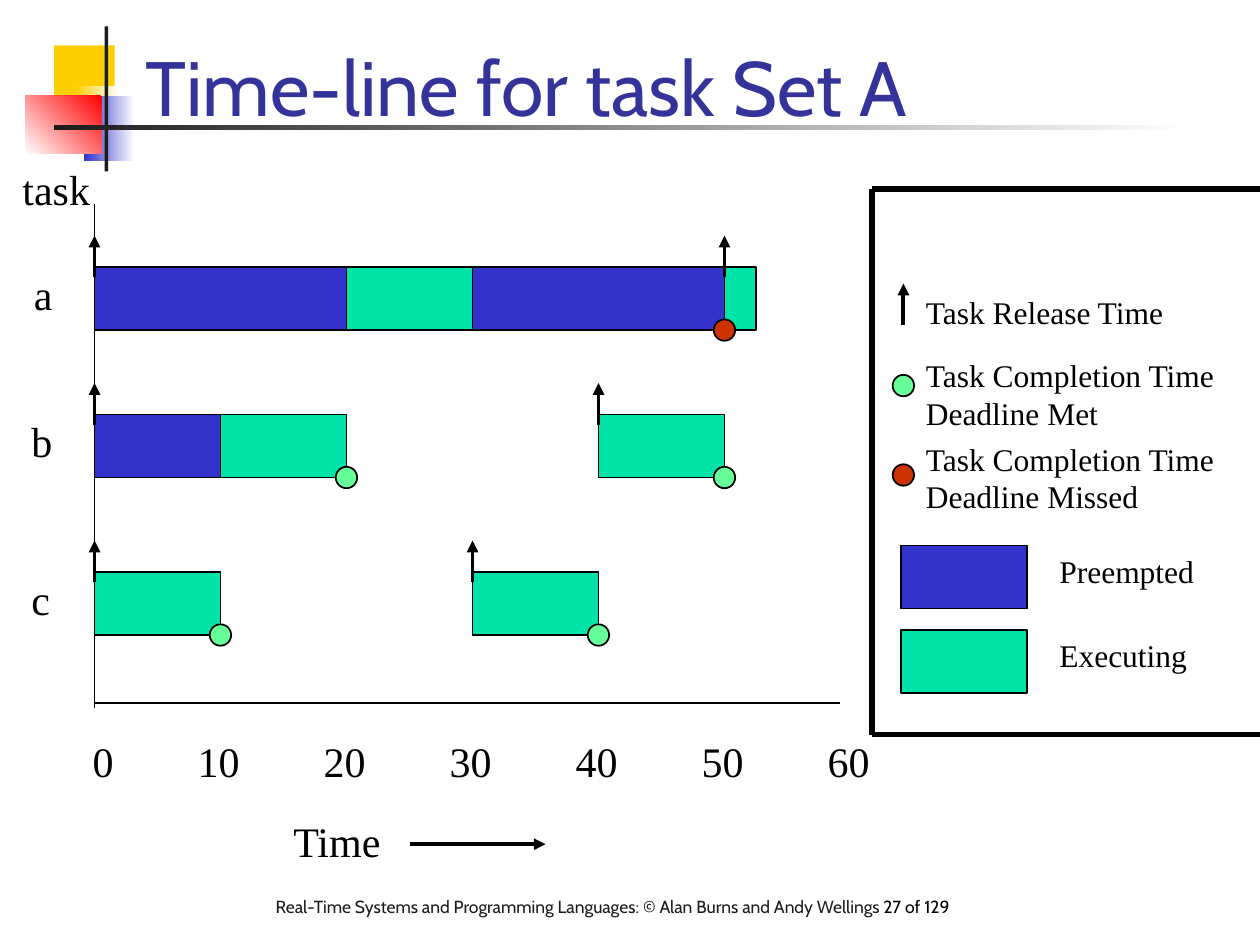
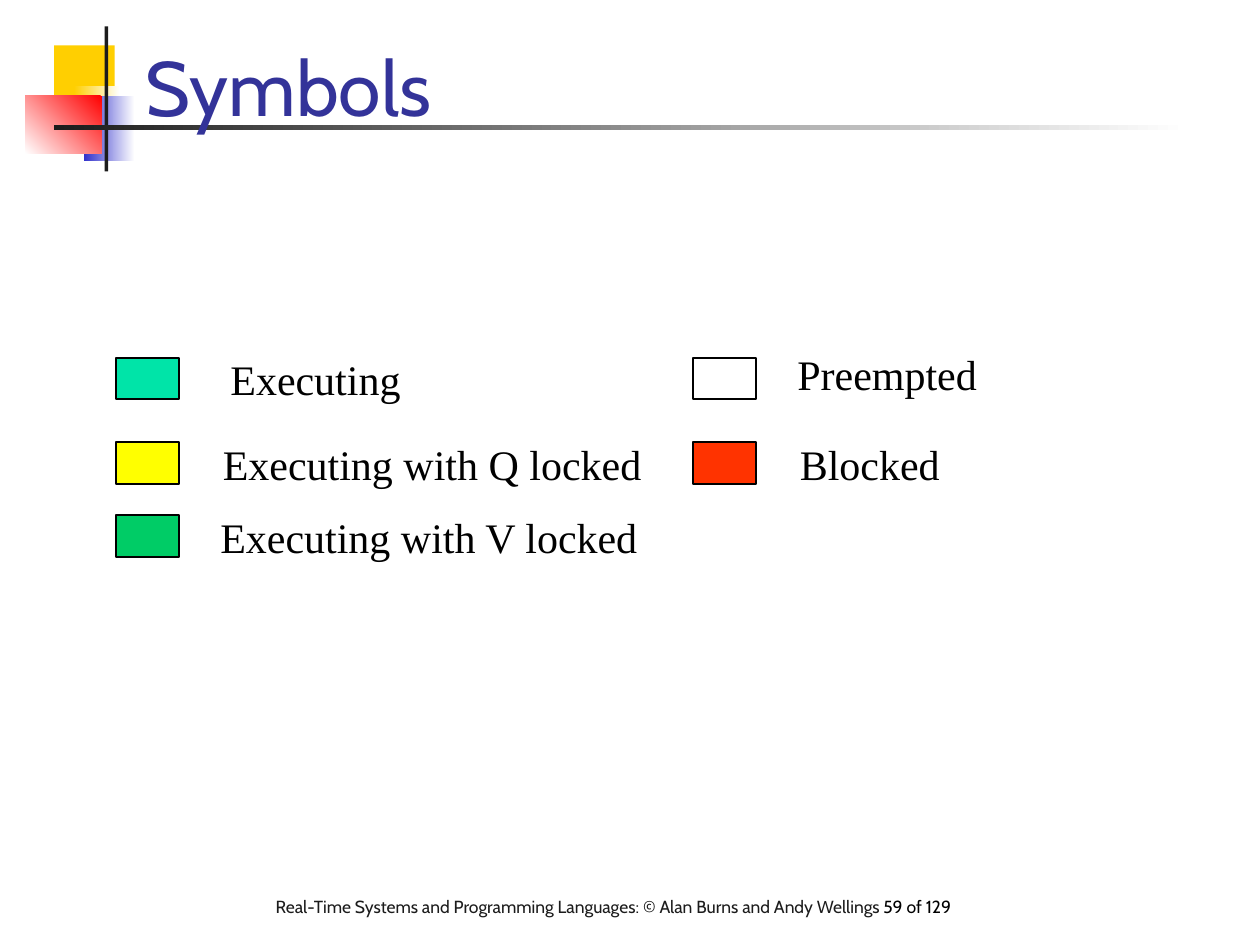
from lxml import etree
from pptx import Presentation
from pptx import util as u
from pptx.dml.color import RGBColor
from pptx.enum import shapes, text
from pptx.oxml.ns import qn

COLOURS = {
    "black": "000000", "ink": "1C1C1C", "white": "FFFFFF", "title": "333399",
    "gold": "FFCF01", "navy": "3333CC", "red": "FF0000",
    "preempted": "3333CC", "executing": "00E4A8",
    "met": "66FF99", "missed": "CC3300",
    "q locked": "FFFF00", "v locked": "00CC66", "blocked": "FF3300",
}
SERIF, SANS = "Times New Roman", "Cabin"
FOOTER = "Real-Time Systems and Programming Languages: © Alan Burns and Andy Wellings "
PAGE_COUNT = 129

ORNAMENTS = [
    ((0.43, 0.36, 0.48, 0.52), ("gold",), 0),
    ((0.59, 0.68, 0.36, 0.52), ("white", "gold"), 180),
    ((0.67, 0.76, 0.4, 0.52), ("white", "navy"), 180),
    ((0.2, 0.76, 0.61, 0.46), ("red", "white"), 225),
    ((0.83, 0.21, 0.03, 1.15), ("ink",), 0),
    ((0.43, 0.99, 9, 0.04), ("white", "ink"), 180),
]

ORIGIN, INCHES_PER_UNIT, BAR_HEIGHT = 0.75, 0.1, 0.5
TASKS = [
    {"name": "a", "top": 2.12, "label_left": 0.17,
     "bars": [(0, 20, "preempted"), (20, 30, "executing"),
              (30, 50, "preempted"), (50, 52.5, "executing")],
     "releases": [0, 50], "completions": [(50, "missed")]},
    {"name": "b", "top": 3.29, "label_left": 0.15,
     "bars": [(0, 10, "preempted"), (10, 20, "executing"), (40, 50, "executing")],
     "releases": [0, 40], "completions": [(20, "met"), (50, "met")]},
    {"name": "c", "top": 4.54, "label_left": 0.15,
     "bars": [(0, 10, "executing"), (30, 40, "executing")],
     "releases": [0, 30], "completions": [(10, "met"), (40, "met")]},
]
TICKS = range(0, 61, 10)

LEGEND_LEFT, LEGEND_TOP, LEGEND_BOTTOM = 6.92, 1.5, 5.83
LEGEND_MARK, LEGEND_TEXT = 7.17, 7.25
LEGEND_DOTS = [
    (3.06, 2.78, "met", ["Task Completion Time", "Deadline Met"]),
    (3.77, 3.44, "missed", ["Task Completion Time", "Deadline Missed"]),
]
LEGEND_BARS = [(4.33, "preempted", "Preempted"), (5, "executing", "Executing")]

SYMBOLS = [
    (0.92, 2.84, "executing", (1.73, 2.76, 1.65), "Executing"),
    (0.92, 3.51, "q locked", (1.67, 3.43, 3.6), "Executing with Q locked"),
    (0.92, 4.09, "v locked", (1.65, 4.01, 3.6), "Executing with V locked"),
    (5.5, 2.84, None, (6.23, 2.72, 1.75), "Preempted"),
    (5.5, 3.51, "blocked", (6.25, 3.43, 1.4), "Blocked"),
]


def rgb(name):
    return RGBColor.from_string(COLOURS[name])


def inches(*lengths):
    return [u.Inches(length) for length in lengths]


def add_block(page, place, colour, kind=shapes.MSO_SHAPE.RECTANGLE, outline=True):
    block = page.shapes.add_shape(kind, *inches(*place))
    block.shadow.inherit = False
    if colour:
        block.fill.solid()
        block.fill.fore_color.rgb = rgb(colour)
    else:
        block.fill.background()
    if outline:
        block.line.color.rgb = rgb("black")
        block.line.width = u.Pt(1)
    else:
        block.line.fill.background()
    return block


def add_dot(page, x, y, colour):
    size = 0.17
    add_block(page, (x - size / 2, y - size / 2, size, size), colour,
              shapes.MSO_SHAPE.OVAL)


def add_line(page, start, end, width=1, arrow=False):
    line = page.shapes.add_connector(
        shapes.MSO_CONNECTOR.STRAIGHT, *inches(*start, *end))
    line.line.color.rgb = rgb("black")
    line.line.width = u.Pt(width)
    if arrow:
        etree.SubElement(line.line._get_or_add_ln(), qn("a:tailEnd"), type="triangle")
    etree.SubElement(line._element.spPr, qn("a:effectLst"))


def add_release(page, x, bottom):
    add_line(page, (x, bottom), (x, bottom - 0.33), 2.25, True)


def add_text(page, place, lines, size=24, font=SERIF, colour="black", wrap=False,
             align=text.PP_ALIGN.LEFT, anchor=text.MSO_ANCHOR.TOP):
    box = page.shapes.add_textbox(*inches(*place))
    frame = box.text_frame
    frame.word_wrap = wrap
    frame.vertical_anchor = anchor
    frame.text = "\n".join(lines)
    for para in frame.paragraphs:
        para.alignment = align
        para.font.size = u.Pt(size)
        para.font.name = font
        para.font.color.rgb = rgb(colour)
    return frame


def add_page(deck, title, number):
    page = deck.slides.add_slide(deck.slide_layouts[6])
    for place, colours, angle in ORNAMENTS:
        block = add_block(page, place, colours[0], outline=False)
        if len(colours) > 1:
            block.fill.gradient()
            block.fill.gradient_angle = angle
            for stop, colour in zip(block.fill.gradient_stops, colours):
                stop.color.rgb = rgb(colour)
    footer = add_text(page, (2.09, 7.06, 6.06, 0.46), [FOOTER], 10, SANS, "ink", True)
    span = footer.paragraphs[0].add_run()
    span.text = f"{number} of {PAGE_COUNT}"
    span.font.color.rgb = rgb("black")
    add_text(page, (1.06, 0.13, 8.52, 0.97), [title], 44, SANS, "title", True,
             anchor=text.MSO_ANCHOR.BOTTOM)
    return page


def time_x(time):
    return ORIGIN + time * INCHES_PER_UNIT


def draw_timeline(page):
    add_line(page, (ORIGIN, 1.62), (ORIGIN, 5.62))
    add_line(page, (ORIGIN, 5.58), (6.67, 5.58))
    add_text(page, (0.08, 1.25, 0.8, 0.5), ["task"])
    for task in TASKS:
        top = task["top"]
        add_text(page, (task["label_left"], top - 0.04, 0.4, 0.5), [task["name"]])
        for start, end, state in task["bars"]:
            width = (end - start) * INCHES_PER_UNIT
            add_block(page, (time_x(start), top, width, BAR_HEIGHT), state)
        for time in task["releases"]:
            add_release(page, time_x(time), top + 0.08)
        for time, result in task["completions"]:
            add_dot(page, time_x(time), top + BAR_HEIGHT, result)
    tick_width = 0.6
    for time in TICKS:
        add_text(page, (time_x(time) + 0.25 - tick_width, 5.79, tick_width, 0.5),
                 [str(time)], align=text.PP_ALIGN.RIGHT)
    add_text(page, (2.23, 6.42, 1, 0.5), ["Time"])
    add_line(page, (3.25, 6.7), (4.33, 6.7), 2.25, True)


def draw_legend(page):
    for y in (LEGEND_TOP, LEGEND_BOTTOM):
        add_line(page, (10, y), (LEGEND_LEFT, y), 3)
    add_line(page, (LEGEND_LEFT, LEGEND_TOP), (LEGEND_LEFT, LEGEND_BOTTOM), 3)
    add_release(page, LEGEND_MARK, 2.58)
    add_text(page, (LEGEND_TEXT, 2.28, 2.2, 0.4), ["Task Release Time"], 18)
    for dot_y, text_top, result, lines in LEGEND_DOTS:
        add_dot(page, LEGEND_MARK, dot_y, result)
        add_text(page, (LEGEND_TEXT, text_top, 2.6, 0.7), lines, 18)
    for top, state, label in LEGEND_BARS:
        add_block(page, (7.15, top, 1, BAR_HEIGHT), state)
        add_text(page, (8.31, top, 1.4, 0.4), [label], 18)


def draw_symbols(page):
    for left, top, state, (text_left, text_top, width), label in SYMBOLS:
        add_block(page, (left, top, 0.5, 0.33), state)
        add_text(page, (text_left, text_top, width, 0.5), [label])


def main():
    deck = Presentation()
    deck.slide_width, deck.slide_height = inches(10, 7.5)
    timeline = add_page(deck, "Time-line for task Set A", 27)
    draw_timeline(timeline)
    draw_legend(timeline)
    draw_symbols(add_page(deck, "Symbols", 59))
    deck.save("out.pptx")


if __name__ == "__main__":
    main()
